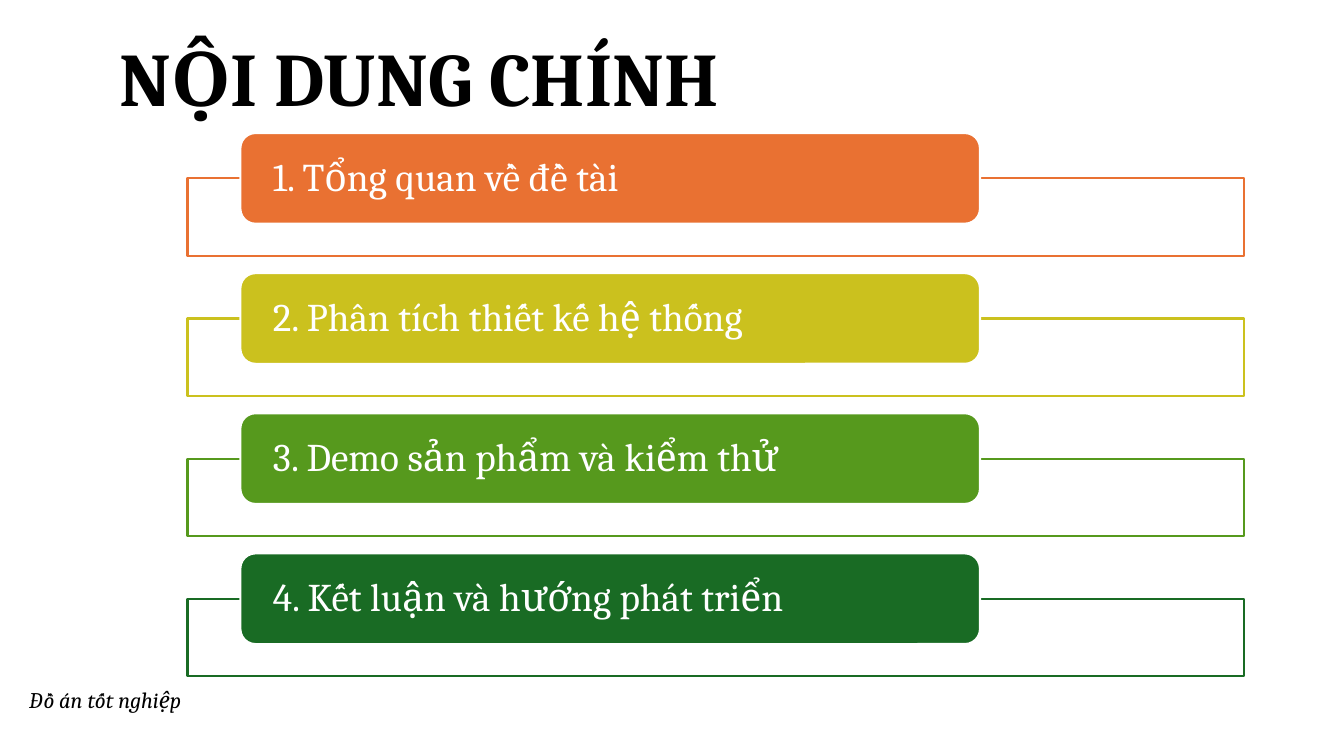
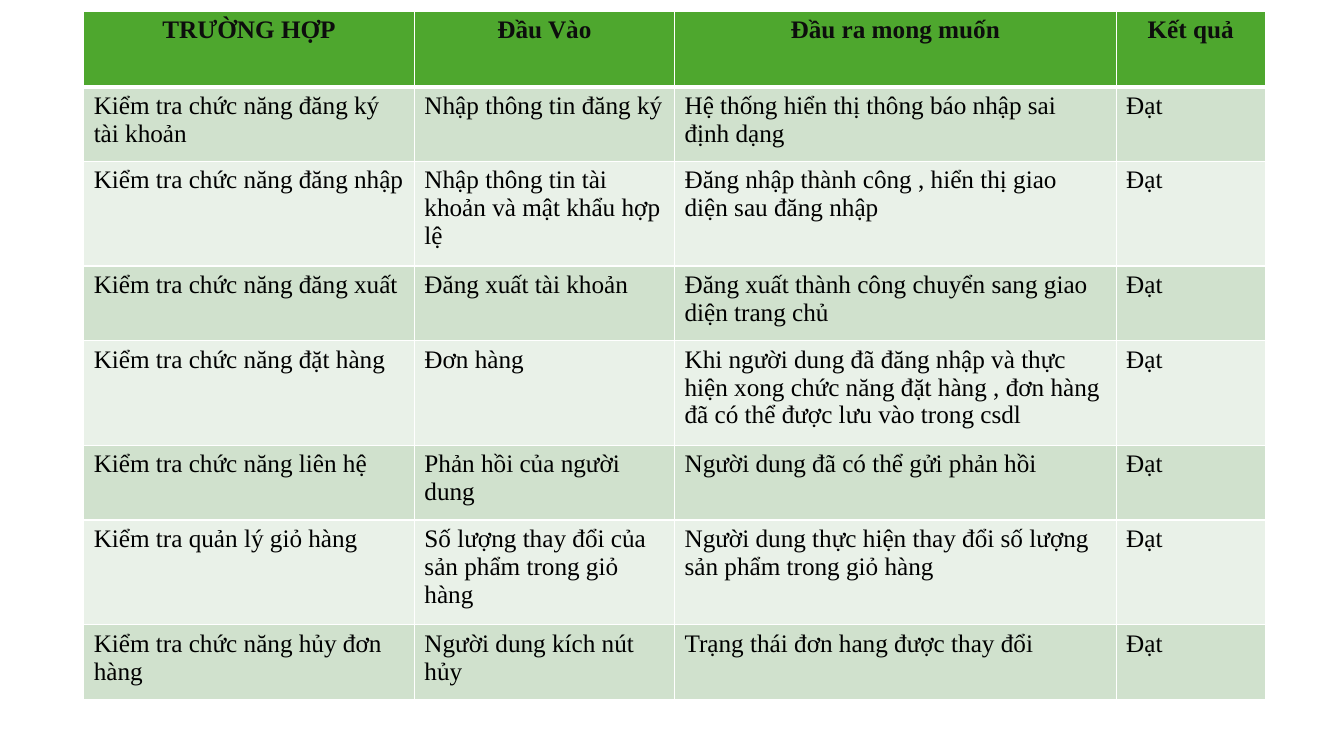
from lxml.etree import SubElement
from pptx import Presentation
from pptx.dml.color import RGBColor
from pptx.enum.shapes import MSO_SHAPE
from pptx.enum.text import MSO_ANCHOR, MSO_AUTO_SIZE, PP_ALIGN
from pptx.oxml.ns import qn
from pptx.util import Inches, Pt

COLORS = {
    "white": "FFFFFF", "black": "000000", "header_text": "0D0D0D",
    "orange": "E97132", "yellow": "CBC11E", "green": "56991D", "forest": "196B24",
    "header": "4EA72E", "odd_row": "D0E1CD", "even_row": "E9F1E8",
}
DISPLAY_FONT = "Cambria"
TABLE_FONT = "Times New Roman"

CHAPTERS = [
    ("1. Tổng quan về đề tài", "orange"),
    ("2. Phân tích thiết kế hệ thống", "yellow"),
    ("3. Demo sản phẩm và kiểm thử", "green"),
    ("4. Kết luận và hướng phát triển", "forest"),
]
HEADINGS = ("TRƯỜNG HỢP", "Đầu Vào", "Đầu ra mong muốn", "Kết quả")
PASSED = "Đạt"
TEST_CASES = [
    ("Kiểm tra chức năng đăng ký tài khoản", "Nhập thông tin đăng ký",
     "Hệ thống hiển thị thông báo nhập sai định dạng", PASSED),
    ("Kiểm tra chức năng đăng nhập", "Nhập thông tin tài khoản và mật khẩu hợp lệ",
     "Đăng nhập thành công , hiển thị giao diện sau đăng nhập", PASSED),
    ("Kiểm tra chức năng đăng xuất", "Đăng xuất tài khoản",
     "Đăng xuất thành công chuyển sang giao diện trang chủ", PASSED),
    ("Kiểm tra chức năng đặt hàng", "Đơn hàng",
     "Khi người dung đã đăng nhập và thực hiện xong chức năng đặt hàng , "
     "đơn hàng đã có thể được lưu vào trong csdl", PASSED),
    ("Kiểm tra chức năng liên hệ", "Phản hồi của người dung",
     "Người dung đã có thể gửi phản hồi", PASSED),
    ("Kiểm tra quản lý giỏ hàng", "Số lượng thay đổi của sản phẩm trong giỏ hàng",
     "Người dung thực hiện thay đổi số lượng sản phẩm trong giỏ hàng", PASSED),
    ("Kiểm tra chức năng hủy đơn hàng", "Người dung kích nút hủy",
     "Trạng thái đơn hang được thay đổi", PASSED),
]
COLUMN_WIDTHS = (3.28, 2.58, 4.38, 1.48)
ROW_HEIGHTS = (0.75, 0.74, 1.04, 0.74, 1.04, 0.74, 1.04, 0.74)


def rgb(color):
    """Return the palette colour of that name."""
    return RGBColor.from_string(COLORS[color])


def write(frame, text, font_name, size, color, align=PP_ALIGN.LEFT, bold=False, italic=False):
    """Put one formatted paragraph in a text frame and return it."""
    frame.text = text
    paragraph = frame.paragraphs[0]
    paragraph.alignment = align
    font = paragraph.font
    font.name, font.size, font.bold, font.italic = font_name, Pt(size), bold, italic
    font.color.rgb = rgb(color)
    return paragraph


def add_title(slide, text, left, top, width, height):
    """Move the title placeholder to its box and fill it."""
    title = slide.shapes.title
    title.left, title.top = Inches(left), Inches(top)
    title.width, title.height = Inches(width), Inches(height)
    frame = title.text_frame
    frame.auto_size = MSO_AUTO_SIZE.NONE
    frame.vertical_anchor = MSO_ANCHOR.TOP
    write(frame, text, DISPLAY_FONT, 54, "black", PP_ALIGN.CENTER, bold=True)


def add_footer(slide, text, left, top, width, height):
    """Add the italic note at the foot of a slide."""
    note = slide.shapes.add_textbox(Inches(left), Inches(top), Inches(width), Inches(height))
    note.text_frame.word_wrap = True
    write(note.text_frame, text, DISPLAY_FONT, 16, "black", italic=True)


def add_panel(slide, preset, left, top, width, height, fill, line):
    """Add a filled and outlined shape without shadow."""
    panel = slide.shapes.add_shape(
        preset, Inches(left), Inches(top), Inches(width), Inches(height))
    panel.shadow.inherit = False
    panel.fill.solid()
    panel.fill.fore_color.rgb = rgb(fill)
    panel.line.color.rgb = rgb(line)
    panel.line.width = Pt(1.5)
    return panel


def add_chapter(slide, text, color, left, top, width):
    """Add one chapter: a coloured label overlapping an outlined frame."""
    add_panel(slide, MSO_SHAPE.RECTANGLE, left, top + 0.45, width, 0.77, "white", color)
    label = add_panel(slide, MSO_SHAPE.ROUNDED_RECTANGLE, left + width * 0.05, top,
                      width * 0.7, 0.9, color, "white")
    frame = label.text_frame
    frame.word_wrap = True
    frame.vertical_anchor = MSO_ANCHOR.MIDDLE
    frame.margin_left = frame.margin_right = Inches(0.28)
    frame.margin_top = frame.margin_bottom = 0
    write(frame, text, DISPLAY_FONT, 28, "white").line_spacing = 0.9


def set_borders(cell, top=1, bottom=1):
    """Draw white borders around a cell, with widths in points."""
    properties = cell._tc.get_or_add_tcPr()
    sides = (("a:lnL", 1), ("a:lnR", 1), ("a:lnT", top), ("a:lnB", bottom))
    for position, (side, width) in enumerate(sides):
        border = SubElement(properties, qn(side), w=str(Pt(width)))
        fill = SubElement(border, qn("a:solidFill"))
        SubElement(fill, qn("a:srgbClr"), val=COLORS["white"])
        properties.insert(position, border)


def add_test_table(slide, left, top):
    """Add the table of test cases with a header and banded rows."""
    rows = [HEADINGS, *TEST_CASES]
    table = slide.shapes.add_table(
        len(rows), len(HEADINGS), Inches(left), Inches(top),
        Inches(sum(COLUMN_WIDTHS)), Inches(sum(ROW_HEIGHTS))).table
    for column, width in zip(table.columns, COLUMN_WIDTHS):
        column.width = Inches(width)
    for row, height in zip(table.rows, ROW_HEIGHTS):
        row.height = Inches(height)
    for row_index, texts in enumerate(rows):
        is_header = row_index == 0
        band = "header" if is_header else "odd_row" if row_index % 2 else "even_row"
        for column_index, text in enumerate(texts):
            cell = table.cell(row_index, column_index)
            cell.fill.solid()
            cell.fill.fore_color.rgb = rgb(band)
            set_borders(cell, top=3 if row_index == 1 else 1, bottom=3 if is_header else 1)
            write(cell.text_frame, text, TABLE_FONT, 18,
                  "header_text" if is_header else "black",
                  PP_ALIGN.CENTER if is_header else PP_ALIGN.LEFT, bold=is_header)


def build_contents(presentation):
    """Build the slide that lists the chapters."""
    slide = presentation.slides.add_slide(presentation.slide_layouts[5])
    add_title(slide, "NỘI DUNG CHÍNH", 0.52, 0.26, 7.27, 1.01)
    add_footer(slide, "Đồ án tốt nghiệp", 0.19, 6.76, 2.45, 0.37)
    for index, (text, color) in enumerate(CHAPTERS):
        add_chapter(slide, text, color, 1.86, 1.32 + index * 1.39, 10.48)


def build_tests(presentation):
    """Build the slide with the test results."""
    slide = presentation.slides.add_slide(presentation.slide_layouts[6])
    add_test_table(slide, 0.83, 0.11)


def main():
    """Build and save the presentation."""
    presentation = Presentation()
    presentation.slide_width, presentation.slide_height = Inches(13.33), Inches(7.5)
    build_contents(presentation)
    build_tests(presentation)
    presentation.save("out.pptx")


if __name__ == "__main__":
    main()
